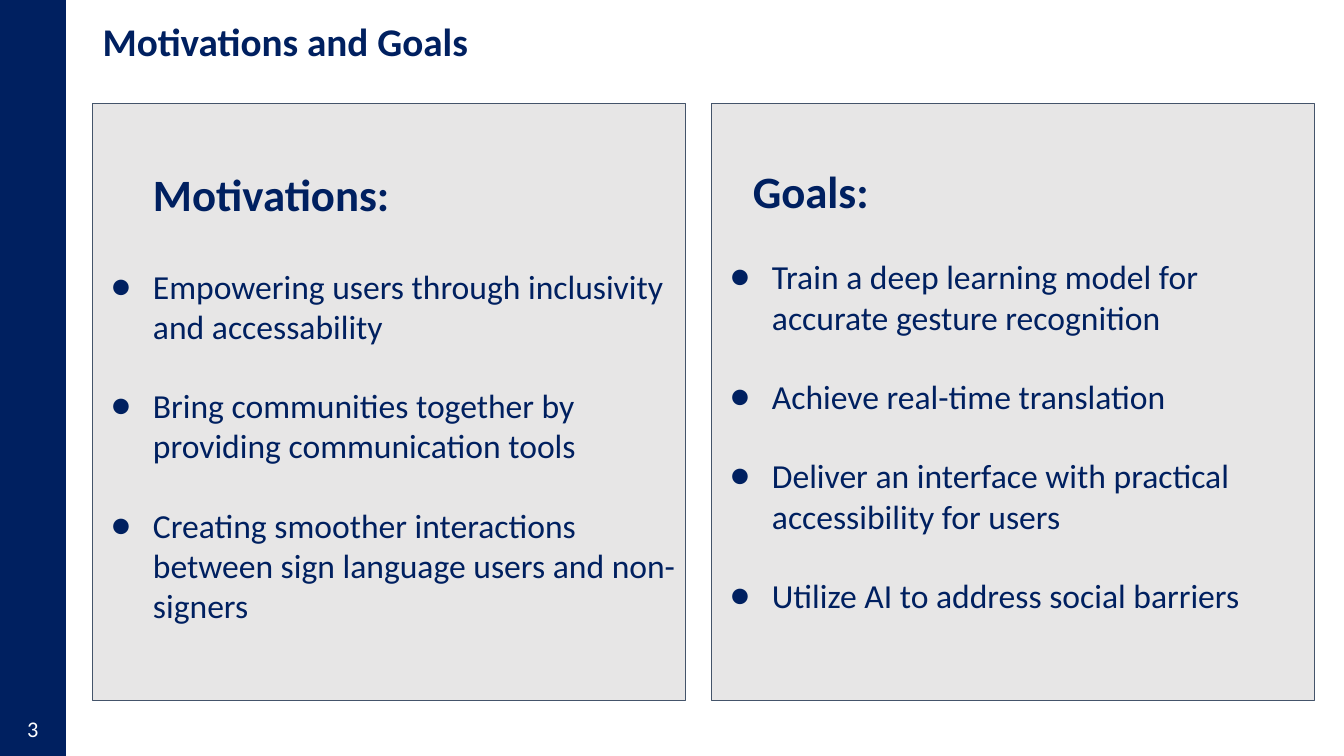
"""Build the Motivations and Goals slide."""
from lxml.etree import SubElement
from pptx import Presentation
from pptx.dml.color import RGBColor
from pptx.enum.shapes import MSO_SHAPE
from pptx.enum.text import MSO_ANCHOR, PP_ALIGN
from pptx.oxml.ns import qn
from pptx.util import Pt

TITLE = "Motivations and Goals"
PAGE_NUMBER = "3"
PANELS = [
    {
        "heading": "Motivations:",
        "points": [
            "Empowering users through inclusivity and accessability",
            "Bring communities together by providing communication tools",
            "Creating smoother interactions between sign language users and non-signers",
        ],
        "left": 66.2, "width": 423.4, "inset": 44.6, "indent": 36, "heading_gap": 32.4,
    },
    {
        "heading": "Goals:",
        "points": [
            "Train a deep learning model for accurate gesture recognition",
            "Achieve real-time translation",
            "Deliver an interface with practical accessibility for users",
            "Utilize AI to address social barriers",
        ],
        "left": 508.3, "width": 430.6, "inset": 42.5, "indent": 22.3, "heading_gap": 28,
    },
]
NAVY, GREY, SLATE, WHITE = "002060", "E7E6E6", "44546A", "FFFFFF"
SLIDE_WIDTH, SLIDE_HEIGHT = 960, 540
PANEL_TOP, PANEL_HEIGHT = 74.2, 426.2
POINT_GAP, POINT_INDENT, BULLET_HANG = 27.8, 36, 30


def paint(color_format, color):
    color_format.rgb = RGBColor.from_string(color)


def add_box(slide, left, top, width, height, fill, line, line_width):
    box = slide.shapes.add_shape(
        MSO_SHAPE.RECTANGLE, Pt(left), Pt(top), Pt(width), Pt(height))
    box.shadow.inherit = False
    box.fill.solid()
    paint(box.fill.fore_color, fill)
    paint(box.line.color, line)
    box.line.width = Pt(line_width)
    return box


def write(paragraph, text, size, color, bold=False, align=PP_ALIGN.LEFT):
    paragraph.text = text
    paragraph.alignment = align
    font = paragraph.runs[0].font
    font.name, font.size, font.bold = "Calibri", Pt(size), bold
    paint(font.color, color)


def indent(paragraph, margin, hang=0):
    properties = paragraph._p.get_or_add_pPr()
    properties.set("marL", str(Pt(margin)))
    properties.set("indent", str(-Pt(hang)))
    return properties


def add_bullet(paragraph):
    properties = indent(paragraph, POINT_INDENT, BULLET_HANG)
    bullet_color = SubElement(properties, qn("a:buClr"))
    SubElement(bullet_color, qn("a:srgbClr")).set("val", NAVY)
    SubElement(properties, qn("a:buFont")).set("typeface", "Calibri")
    SubElement(properties, qn("a:buChar")).set("char", "●")


def add_label(slide, left, top, width, height, text, size, color, **style):
    frame = slide.shapes.add_textbox(
        Pt(left), Pt(top), Pt(width), Pt(height)).text_frame
    frame.word_wrap = True
    frame.vertical_anchor = MSO_ANCHOR.MIDDLE
    write(frame.paragraphs[0], text, size, color, **style)
    return frame.paragraphs[0]


def add_panel(slide, panel):
    box = add_box(slide, panel["left"], PANEL_TOP, panel["width"], PANEL_HEIGHT,
                  GREY, SLATE, 0.75)
    frame = box.text_frame
    frame.word_wrap = True
    frame.vertical_anchor = MSO_ANCHOR.TOP
    frame.margin_top = Pt(panel["inset"])
    heading = frame.paragraphs[0]
    write(heading, panel["heading"], 32, NAVY, bold=True)
    indent(heading, panel["indent"])
    gap = panel["heading_gap"]
    for text in panel["points"]:
        point = frame.add_paragraph()
        write(point, text, 24, NAVY)
        point.space_before = Pt(gap)
        add_bullet(point)
        gap = POINT_GAP


def main():
    deck = Presentation()
    deck.slide_width, deck.slide_height = Pt(SLIDE_WIDTH), Pt(SLIDE_HEIGHT)
    slide = deck.slides.add_slide(deck.slide_layouts[6])
    add_box(slide, 0, 0, 46.8, SLIDE_HEIGHT, NAVY, NAVY, 1)
    add_label(slide, 5.8, 506.2, 35.3, 28.8, PAGE_NUMBER, 16, WHITE,
              align=PP_ALIGN.CENTER)
    title = add_label(slide, 66.2, 0, 851.8, 62.6, TITLE, 28, NAVY, bold=True)
    title.line_spacing = 0.9
    for panel in PANELS:
        add_panel(slide, panel)
    deck.save("out.pptx")


if __name__ == "__main__":
    main()
